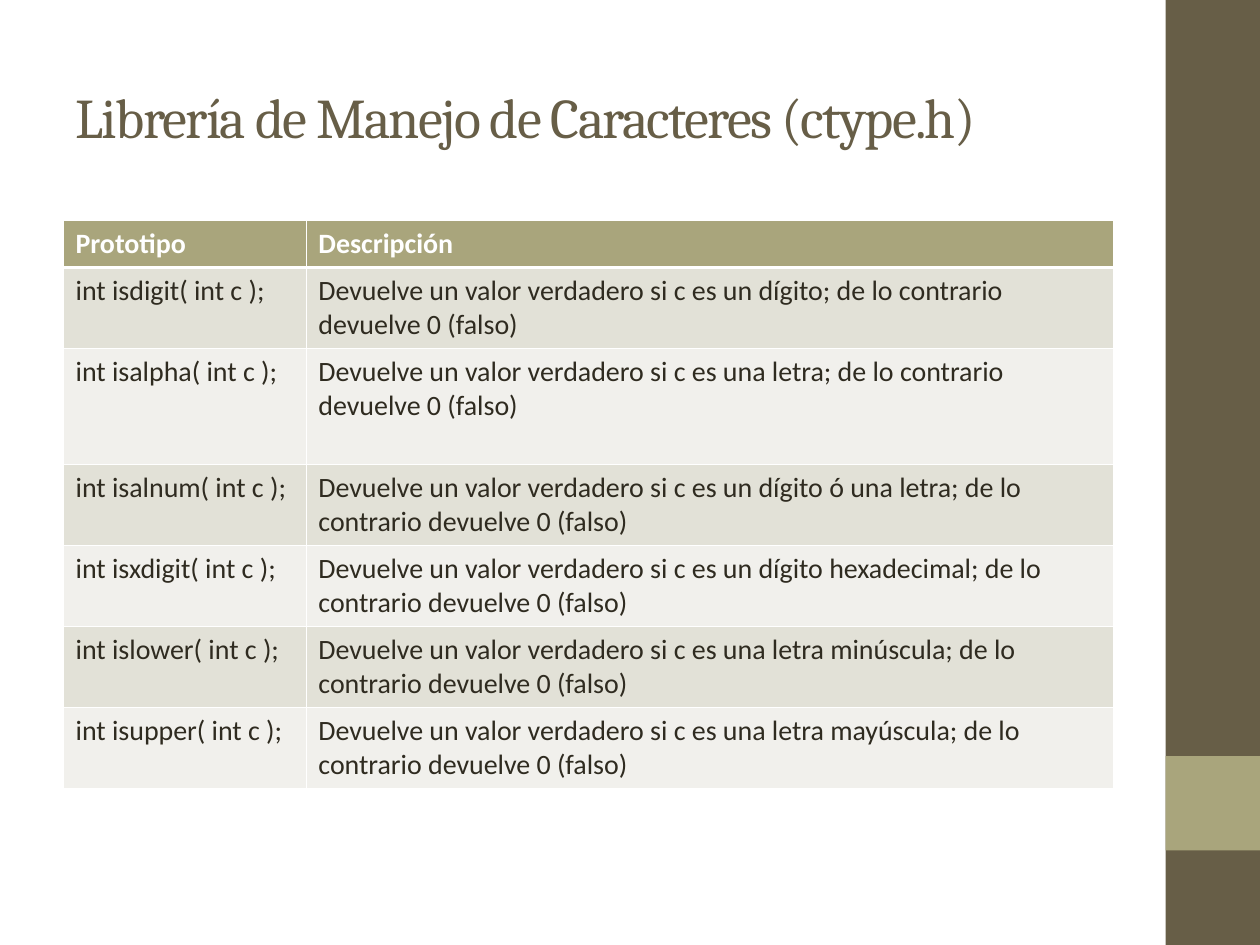
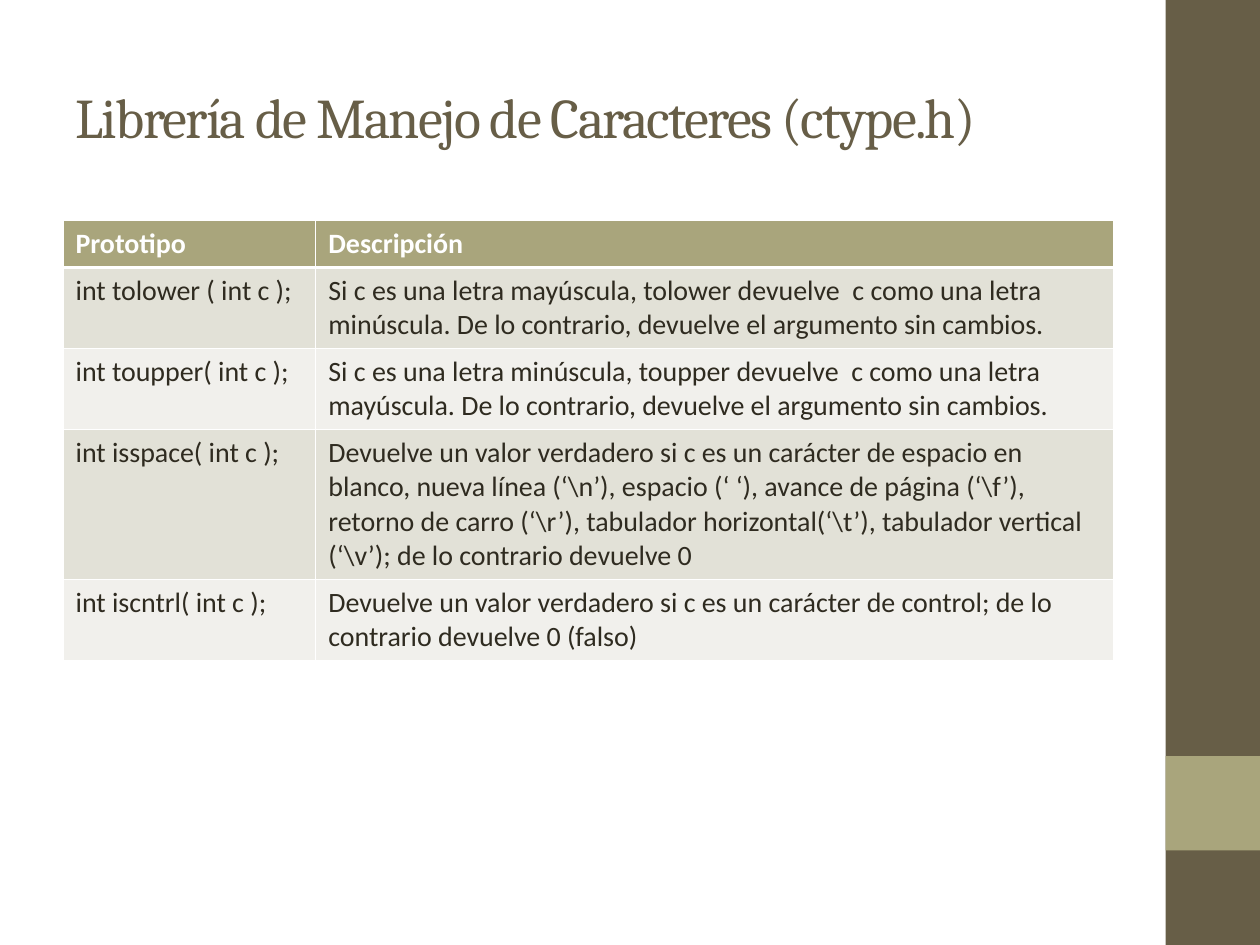
from dataclasses import dataclass

import pptx
import pptx.dml.color
import pptx.enum.shapes
import pptx.enum.text
import pptx.oxml
import pptx.oxml.ns
import pptx.util

Pt = pptx.util.Pt


@dataclass(frozen=True)
class Theme:
    dark: str = "675E47"
    accent: str = "A9A57C"
    ink: str = "2F2B20"
    paper: str = "FFFFFF"
    stripes: tuple = ("E2E1D7", "F1F0EC")
    title_font: str = "Cambria"
    body_font: str = "Calibri"
    title_size: float = 32
    title_spacing: float = -1
    body_size: float = 16
    thin_rule: float = 0.45
    header_rule: float = 1.47


THEME = Theme()
SLIDE_WIDTH, SLIDE_HEIGHT = 720, 540
BAND_WIDTH = 54
MARGIN, CONTENT_WIDTH = 36, 600
TABLE_TOP = 126
LINE_HEIGHT, CELL_PADDING = 19.6, 7.2

TITLE = "Librería de Manejo de Caracteres (ctype.h)"
HEADINGS = ("Prototipo", "Descripción")
TRUE_IF = "Devuelve un valor verdadero si c es {}; de lo contrario devuelve 0 (falso)"
CONVERTS = ("Si c es una letra {1}, {0} devuelve  c como una letra {2}. "
            "De lo contrario, devuelve el argumento sin cambios.")

# Each entry: prototype, description, height in text lines
CLASSIFIERS = [
    ("int isdigit( int c );", TRUE_IF.format("un dígito"), 2),
    ("int isalpha( int c );", TRUE_IF.format("una letra"), 3),
    ("int isalnum( int c );", TRUE_IF.format("un dígito ó una letra"), 2),
    ("int isxdigit( int c );", TRUE_IF.format("un dígito hexadecimal"), 2),
    ("int islower( int c );", TRUE_IF.format("una letra minúscula"), 2),
    ("int isupper( int c );", TRUE_IF.format("una letra mayúscula"), 2),
]
CONVERTERS = [
    ("int tolower ( int c );", CONVERTS.format("tolower", "mayúscula", "minúscula"), 2),
    ("int toupper( int c );", CONVERTS.format("toupper", "minúscula", "mayúscula"), 2),
    ("int isspace( int c );",
     r"Devuelve un valor verdadero si c es un carácter de espacio en blanco, "
     r"nueva línea (‘\n’), espacio (‘ ‘), avance de página (‘\f’), "
     r"retorno de carro (‘\r’), tabulador horizontal(‘\t’), "
     r"tabulador vertical (‘\v’); de lo contrario devuelve 0", 4),
    ("int iscntrl( int c );", TRUE_IF.format("un carácter de control"), 2),
]


def rgb(color):
    return pptx.dml.color.RGBColor.from_string(color)


def format_runs(paragraph, font_name, size, color, bold=False):
    for run in paragraph.runs:
        run.font.name = font_name
        run.font.size = Pt(size)
        run.font.bold = bold
        run.font.color.rgb = rgb(color)


def add_band(slide, top, height, color):
    band = slide.shapes.add_shape(
        pptx.enum.shapes.MSO_SHAPE.RECTANGLE,
        Pt(SLIDE_WIDTH - BAND_WIDTH), Pt(top), Pt(BAND_WIDTH), Pt(height))
    band.shadow.inherit = False
    band.fill.solid()
    band.fill.fore_color.rgb = rgb(color)
    band.line.fill.background()


def set_title(slide, text):
    title = slide.shapes.title
    title.left, title.top = Pt(MARGIN), Pt(21.6)
    title.width, title.height = Pt(CONTENT_WIDTH), Pt(90)
    frame = title.text_frame
    frame.text = text
    frame.word_wrap = True
    frame.auto_size = pptx.enum.text.MSO_AUTO_SIZE.NONE
    frame.vertical_anchor = pptx.enum.text.MSO_ANCHOR.MIDDLE
    paragraph = frame.paragraphs[0]
    paragraph.alignment = pptx.enum.text.PP_ALIGN.LEFT
    format_runs(paragraph, THEME.title_font, THEME.title_size, THEME.dark)
    for run in paragraph.runs:
        run.font._element.set("spc", str(int(THEME.title_spacing * 100)))


def set_borders(cell, top, bottom):
    """Rule all four sides in white; top and bottom are widths in points."""
    properties = cell._tc.get_or_add_tcPr()
    widths = {"L": THEME.thin_rule, "R": THEME.thin_rule, "T": top, "B": bottom}
    for position, (side, width) in enumerate(widths.items()):
        properties.insert(position, pptx.oxml.parse_xml(
            f'<a:ln{side} {pptx.oxml.ns.nsdecls("a")} w="{Pt(width)}">'
            f'<a:solidFill><a:srgbClr val="{THEME.paper}"/></a:solidFill></a:ln{side}>'))


def fill_row(table, row, texts):
    header = row == 0
    background = THEME.accent if header else THEME.stripes[(row - 1) % 2]
    color = THEME.paper if header else THEME.ink
    top = THEME.header_rule if row == 1 else THEME.thin_rule
    bottom = THEME.header_rule if header else THEME.thin_rule
    for column, text in enumerate(texts):
        cell = table.cell(row, column)
        cell.text_frame.text = text
        cell.fill.solid()
        cell.fill.fore_color.rgb = rgb(background)
        format_runs(cell.text_frame.paragraphs[0], THEME.body_font,
                    THEME.body_size, color, header)
        set_borders(cell, top, bottom)


def add_function_table(slide, functions, prototype_width):
    rows = [(*HEADINGS, 1), *functions]
    heights = [lines * LINE_HEIGHT + CELL_PADDING for _, _, lines in rows]
    table = slide.shapes.add_table(
        len(rows), len(HEADINGS), Pt(MARGIN), Pt(TABLE_TOP),
        Pt(CONTENT_WIDTH), Pt(sum(heights))).table
    table.horz_banding = False
    table.columns[0].width = Pt(prototype_width)
    table.columns[1].width = Pt(CONTENT_WIDTH - prototype_width)
    for row, (prototype, description, _) in enumerate(rows):
        table.rows[row].height = Pt(heights[row])
        fill_row(table, row, (prototype, description))


def add_reference_slide(deck, functions, prototype_width):
    slide = deck.slides.add_slide(deck.slide_layouts.get_by_name("Title Only"))
    add_band(slide, 0, SLIDE_HEIGHT, THEME.dark)
    add_band(slide, 432, BAND_WIDTH, THEME.accent)
    set_title(slide, TITLE)
    add_function_table(slide, functions, prototype_width)


def main():
    deck = pptx.Presentation()
    deck.slide_width, deck.slide_height = Pt(SLIDE_WIDTH), Pt(SLIDE_HEIGHT)
    add_reference_slide(deck, CLASSIFIERS, 138.8)
    add_reference_slide(deck, CONVERTERS, 144.5)
    deck.save("out.pptx")


if __name__ == "__main__":
    main()
